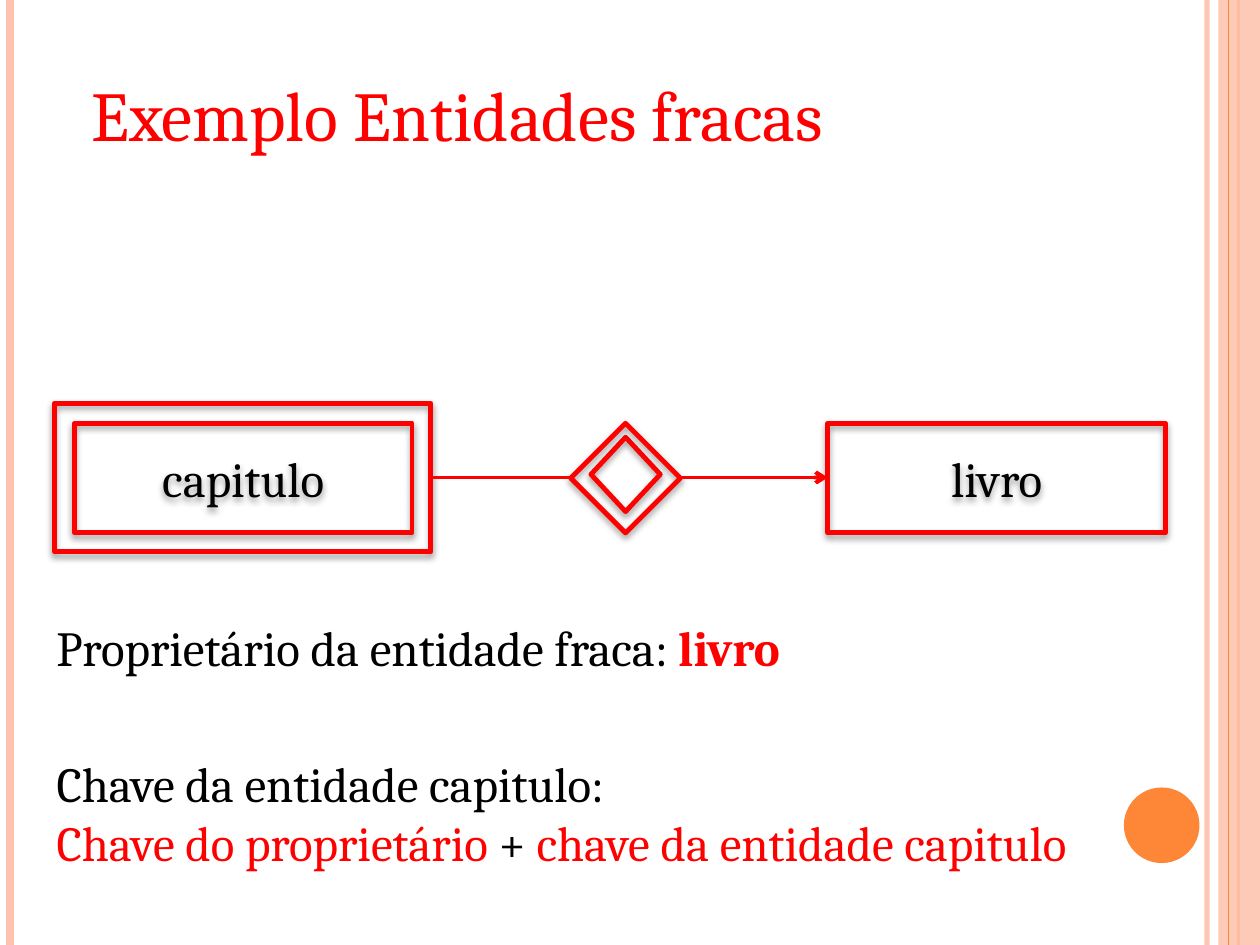
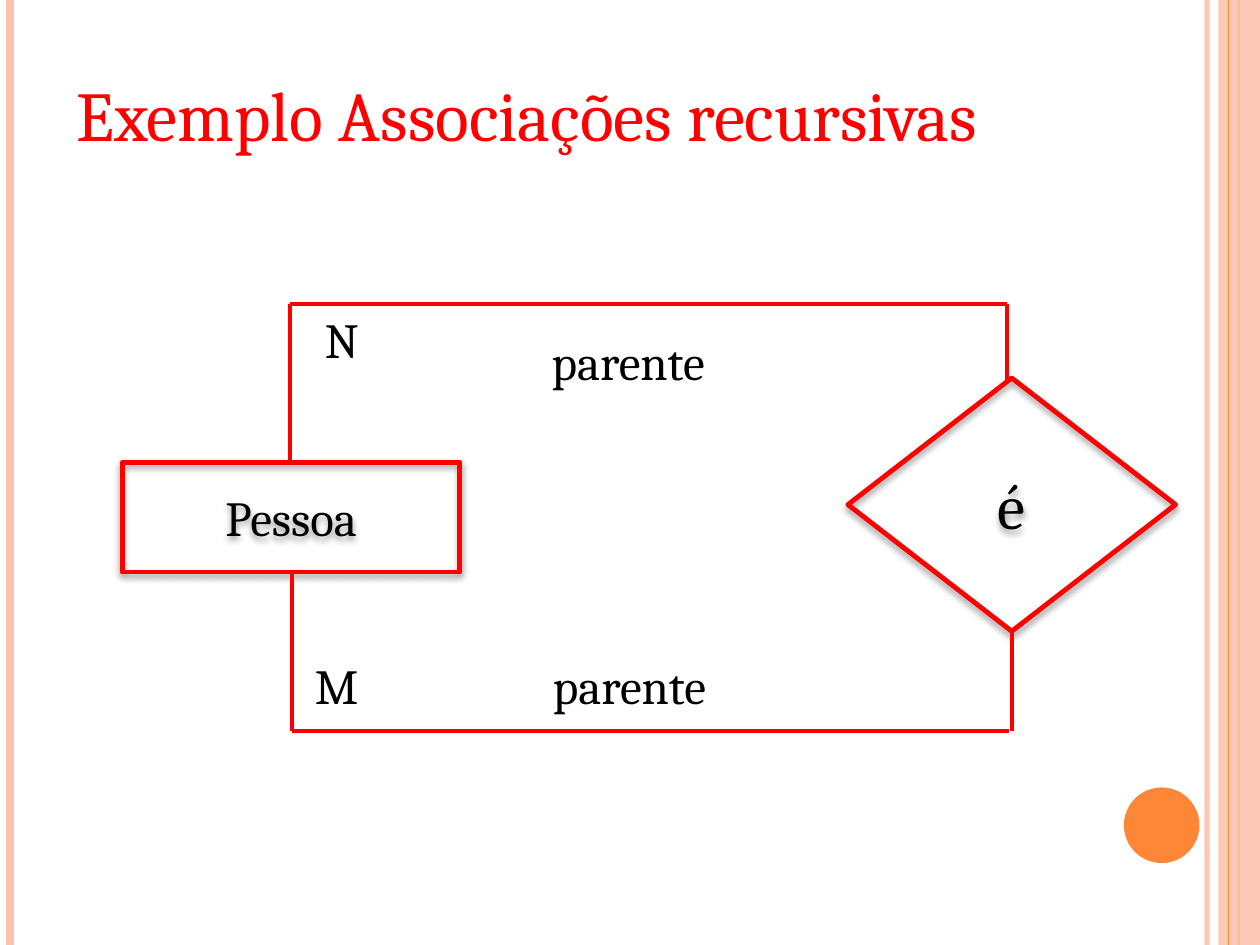
from dataclasses import dataclass

from lxml import etree
from pptx import Presentation
from pptx import util as u
from pptx.dml.color import RGBColor
from pptx.enum import shapes, text
from pptx.oxml import ns

RECT = shapes.MSO_SHAPE.RECTANGLE
DIAMOND = shapes.MSO_SHAPE.DIAMOND
TITLE_ONLY = 5


@dataclass(frozen=True)
class Theme:
    font: str = "Cambria"
    red: str = "FF0000"
    black: str = "000000"
    peach: str = "FEC3AE"
    orange: str = "FE8637"
    title: float = 40
    symbol: float = 36
    body: float = 28
    outline: float = 2.75
    link: float = 2.25


def inches(*values):
    return [u.Inches(v) for v in values]


def add_xml(parent, tag, **attributes):
    return etree.SubElement(parent, ns.qn(tag), {k: str(v) for k, v in attributes.items()})


def set_alpha(sp, percent):
    for color in sp.element.spPr.iter(ns.qn("a:srgbClr")):
        add_xml(color, "a:alpha", val=percent * 1000)


class Deck:
    def __init__(self, theme):
        self.theme = theme
        self.prs = Presentation()
        self.prs.slide_width, self.prs.slide_height = inches(10, 7.5)
        self.layout = self.prs.slide_layouts[TITLE_ONLY]
        self.s = None

    def slide(self, title, left, width):
        first = self.s is None
        self.s = self.prs.slides.add_slide(self.layout)
        if first:
            self.frame()
        sp = self.s.shapes.title
        sp.left, sp.top, sp.width, sp.height = inches(left, 0.52, width, 0.77)
        self.add_runs(sp, [[(title, self.theme.red)]], self.theme.title)
        self.fit(sp)

    def frame(self):
        """Draw the side bands and the disc, then move them to the shared layout."""
        t = self.theme
        edge = self.line((9.58, 0), (9.58, 7.5), t.peach, 3)
        set_alpha(edge, 93)
        left = self.line((0.08, 0), (0.08, 7.5), t.peach, 4.5)
        right = self.line((9.83, 0), (9.83, 7.5), t.orange, 1.5)
        band = self.solid(RECT, (9.67, 0, 0.33, 7.5), t.peach)
        set_alpha(band, 87)
        thin = self.line((9.75, 0), (9.75, 7.5), t.orange, 0.75)
        disc = self.solid(shapes.MSO_SHAPE.OVAL, (8.92, 6.25, 0.6, 0.6), t.orange)
        for sp in (edge, left, right, band, thin, disc):
            self.layout.shapes.element.append(sp.element)

    def add_runs(self, sp, paragraphs, size, align=text.PP_ALIGN.LEFT):
        tf = sp.text_frame
        for i, runs in enumerate(paragraphs):
            p = tf.add_paragraph() if i else tf.paragraphs[0]
            p.alignment = align
            for words, color, *bold in runs:
                r = p.add_run()
                r.text = words
                r.font.name = self.theme.font
                r.font.size = u.Pt(size)
                r.font.bold = bool(bold)
                r.font.color.rgb = RGBColor.from_string(color)

    def fit(self, sp):
        tf = sp.text_frame
        tf.word_wrap = False
        tf.auto_size = text.MSO_AUTO_SIZE.SHAPE_TO_FIT_TEXT
        tf.vertical_anchor = text.MSO_ANCHOR.TOP

    def label(self, box, *paragraphs):
        sp = self.s.shapes.add_textbox(*inches(*box))
        self.add_runs(sp, paragraphs, self.theme.body)
        self.fit(sp)

    def solid(self, kind, box, color):
        sp = self.s.shapes.add_shape(kind, *inches(*box))
        sp.shadow.inherit = False
        sp.fill.solid()
        sp.fill.fore_color.rgb = RGBColor.from_string(color)
        sp.line.fill.background()
        return sp

    def outlined(self, kind, box, name=None, size=None, parent=None):
        sp = (parent or self.s).shapes.add_shape(kind, *inches(*box))
        sp.fill.background()
        sp.line.color.rgb = RGBColor.from_string(self.theme.red)
        sp.line.width = u.Pt(self.theme.outline)
        sp.shadow.inherit = False
        effects = sp.element.spPr.find(ns.qn("a:effectLst"))
        shadow = add_xml(effects, "a:outerShdw", blurRad=u.Pt(4), dist=u.Pt(2),
                         dir=5400000, rotWithShape=0)
        color = add_xml(shadow, "a:srgbClr", val=self.theme.black)
        add_xml(color, "a:alpha", val=40000)
        if name:
            sp.text_frame.vertical_anchor = text.MSO_ANCHOR.MIDDLE
            self.add_runs(sp, [[(name, self.theme.black)]], size or self.theme.body,
                          text.PP_ALIGN.CENTER)

    def double(self, kind, back, front, name=None):
        group = self.s.shapes.add_group_shape()
        self.outlined(kind, back, parent=group)
        self.outlined(kind, front, name, parent=group)

    def line(self, start, end, color=None, width=None, arrow=False):
        sp = self.s.shapes.add_connector(shapes.MSO_CONNECTOR.STRAIGHT, *inches(*start, *end))
        sp.line.color.rgb = RGBColor.from_string(color or self.theme.red)
        sp.line.width = u.Pt(width or self.theme.link)
        if arrow:
            add_xml(sp.element.spPr.find(ns.qn("a:ln")), "a:tailEnd", type="arrow")
        add_xml(sp.element.spPr, "a:effectLst")
        return sp


def weak_entities(deck):
    red, black = deck.theme.red, deck.theme.black
    deck.slide("Exemplo Entidades fracas", 0.63, 6.99)

    # Weak entity, identifying relationship and owner
    deck.double(RECT, (0.43, 3.2, 2.99, 1.18), (0.59, 3.36, 2.68, 0.87), "capitulo")
    deck.double(DIAMOND, (4.69, 3.47, 0.55, 0.59), (4.53, 3.36, 0.87, 0.87))
    deck.line((3.43, 3.79), (4.53, 3.79))
    deck.outlined(RECT, (6.57, 3.36, 2.68, 0.87), "livro")
    deck.line((5.39, 3.79), (6.57, 3.79), arrow=True)

    # Owner and key
    deck.label((0.35, 4.85, 6.87, 0.57),
               [("Proprietário da entidade fraca: ", black), ("livro", red, True)])
    deck.label((0.35, 5.93, 9.48, 1.04),
               [("Chave da entidade capitulo:", black)],
               [("Chave do proprietário ", red), ("+ ", black),
                ("chave da entidade capitulo", red)])


def recursive_associations(deck):
    deck.slide("Exemplo Associações recursivas", 0.51, 8.47)

    # Entity and relationship
    deck.outlined(RECT, (0.97, 3.67, 2.68, 0.87), "Pessoa")
    deck.outlined(DIAMOND, (6.73, 3, 2.6, 2.01), "é", deck.theme.symbol)

    # Upper and lower loops
    for start, end in [
        ((2.3, 3.67), (2.3, 2.41)), ((2.32, 5.8), (2.32, 4.54)),
        ((2.3, 2.41), (7.99, 2.41)), ((7.99, 3.04), (7.99, 2.41)),
        ((2.32, 5.8), (8.01, 5.8)), ((8.03, 5.8), (8.03, 5.01)),
    ]:
        deck.line(start, end)

    # Cardinalities and roles
    for words, left, top, width in [
        ("N", 2.48, 2.41, 0.52), ("M", 2.4, 5.15, 0.57),
        ("parente", 4.28, 2.58, 1.61), ("parente", 4.29, 5.15, 1.61),
    ]:
        deck.label((left, top, width, 0.57), [(words, deck.theme.black)])


def main():
    deck = Deck(Theme())
    weak_entities(deck)
    recursive_associations(deck)
    deck.prs.save("out.pptx")


if __name__ == "__main__":
    main()
